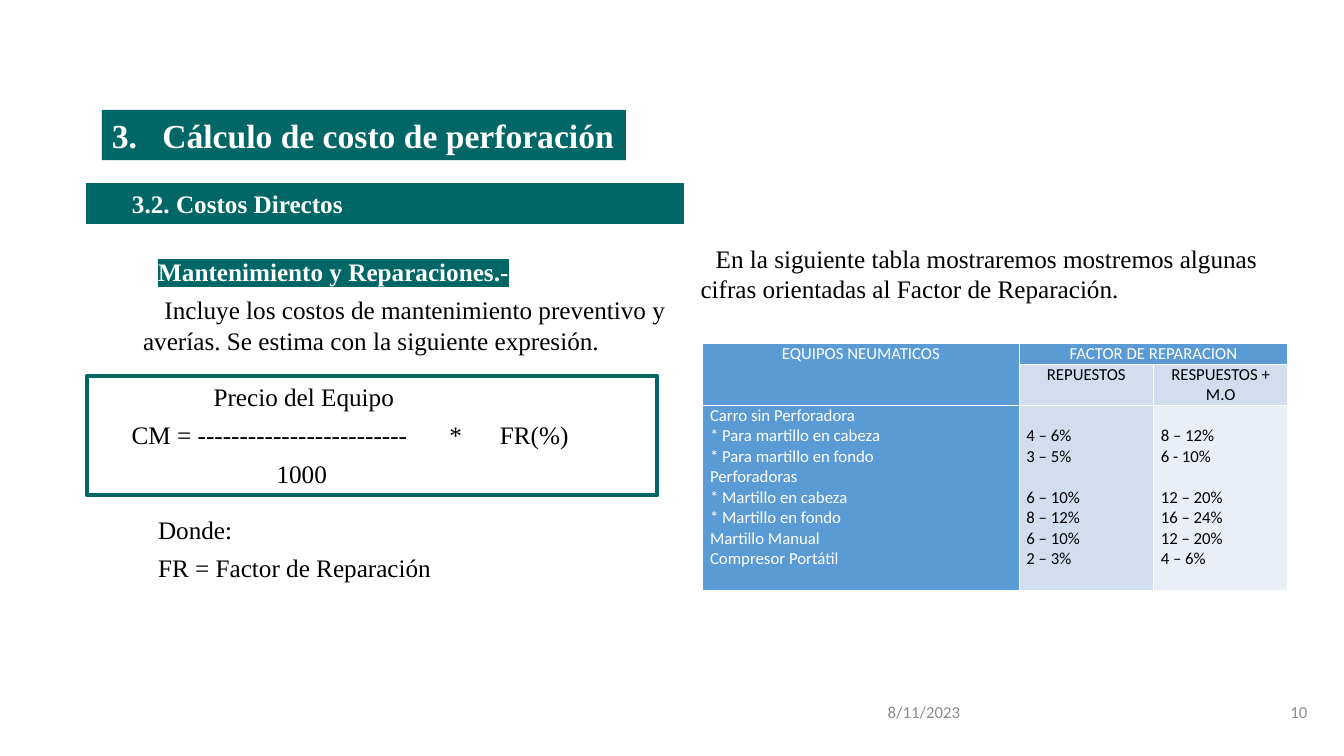
from pptx import Presentation
from pptx.dml.color import RGBColor
from pptx.enum.shapes import MSO_SHAPE
from pptx.enum.text import MSO_ANCHOR, MSO_AUTO_SIZE, PP_ALIGN
from pptx.oxml.ns import qn
from pptx.util import Pt
from lxml.etree import SubElement

TEAL = RGBColor(0x00, 0x66, 0x66)
WHITE = RGBColor(0xFF, 0xFF, 0xFF)
BLACK = RGBColor(0x00, 0x00, 0x00)
GRAY = RGBColor(0x8C, 0x8C, 0x8C)
BLUE = RGBColor(0x5B, 0x9B, 0xD5)
BLUE_MID = RGBColor(0xD2, 0xDE, 0xEF)
BLUE_PALE = RGBColor(0xEA, 0xEF, 0xF7)
SERIF, SANS = "Times New Roman", "Calibri"
LINE = 14.65  # height of one 12 pt table line


def format_runs(p, size, color, font=SERIF, bold=False):
    for r in p.runs:
        r.font.size = Pt(size)
        r.font.bold = bold
        r.font.color.rgb = color
        r.font.name = font


def set_layout(p, margin=0, first=0, after=0, tabs=()):
    """Plain paragraph with indents, spacing and left tab stops."""
    p.alignment = PP_ALIGN.LEFT
    p.space_before, p.space_after = Pt(0), Pt(after)
    pPr = p._p.get_or_add_pPr()
    pPr.set("marL", str(Pt(margin)))
    pPr.set("indent", str(Pt(first)))
    SubElement(pPr, qn("a:buNone"))
    if tabs:
        tab_list = SubElement(pPr, qn("a:tabLst"))
        for stop in tabs:
            SubElement(tab_list, qn("a:tab"), pos=str(Pt(stop)), algn="l")


def highlight(r, color):
    mark = SubElement(r._r.rPr, qn("a:highlight"))
    SubElement(mark, qn("a:srgbClr"), val=str(color))
    r._r.rPr.find(qn("a:solidFill")).addnext(mark)


def place(sp, box):
    sp.left, sp.top, sp.width, sp.height = (Pt(v) for v in box)


def set_text(sp, lines, size=18, color=BLACK, bold=False, after=6):
    """Each line is (text, margin, first-line indent, tab stops)."""
    tf = sp.text_frame
    tf.word_wrap = True
    tf.auto_size = MSO_AUTO_SIZE.NONE
    tf.vertical_anchor = MSO_ANCHOR.TOP
    tf.text = "\n".join(line[0] for line in lines)
    for p, (_, margin, first, *tabs) in zip(tf.paragraphs, lines):
        set_layout(p, margin, first, after, tabs)
        format_runs(p, size, color, bold=bold)
    return tf


def add_box(s, box, line_width, fill=None):
    sp = s.shapes.add_shape(MSO_SHAPE.RECTANGLE, *(Pt(v) for v in box))
    sp.shadow.inherit = False
    if fill is None:
        sp.fill.background()
    else:
        sp.fill.solid()
        sp.fill.fore_color.rgb = fill
    sp.line.color.rgb = TEAL
    sp.line.width = Pt(line_width)
    return sp


def add_footer(s, text, box, align):
    sp = s.shapes.add_textbox(*(Pt(v) for v in box))
    tf = sp.text_frame
    tf.word_wrap = True
    tf.vertical_anchor = MSO_ANCHOR.MIDDLE
    tf.text = text
    tf.paragraphs[0].alignment = align
    format_runs(tf.paragraphs[0], 12, GRAY, SANS)


def style_cell(cell, fill):
    tcPr = cell._tc.get_or_add_tcPr()
    for side in ("a:lnL", "a:lnR", "a:lnT", "a:lnB"):
        ln = SubElement(tcPr, qn(side), w=str(Pt(1)))
        SubElement(SubElement(ln, qn("a:solidFill")), qn("a:srgbClr"), val=str(WHITE))
    cell.fill.solid()
    cell.fill.fore_color.rgb = fill
    cell.margin_left = cell.margin_right = Pt(5.2)
    cell.margin_top = cell.margin_bottom = Pt(0)


def fill_cell(cell, lines, color, align=PP_ALIGN.LEFT):
    cell.text_frame.text = "\n".join(lines)
    for p in cell.text_frame.paragraphs:
        p.alignment = align
        format_runs(p, 12, color, SANS)


def add_repair_table(s):
    headers = [
        (0, 0, "EQUIPOS NEUMATICOS", WHITE),
        (0, 1, "FACTOR DE REPARACION", WHITE),
        (1, 1, "REPUESTOS", BLACK),
        (1, 2, "RESPUESTOS + M.O", BLACK),
    ]
    equipment = ["Carro sin Perforadora", "* Para martillo en cabeza",
                 "* Para martillo en fondo", "Perforadoras",
                 "* Martillo en cabeza", "* Martillo en fondo",
                 "Martillo Manual", "Compresor Portátil"]
    factors = [
        ["4 – 6%", "3 – 5%", "6 – 10%", "8 – 12%", "6 – 10%", "2 – 3%"],
        ["8 – 12%", "6 - 10%", "12 – 20%", "16 – 24%", "12 – 20%", "4 – 6%"],
    ]
    fills = [[BLUE, BLUE, BLUE],
             [BLUE, BLUE_MID, BLUE_MID],
             [BLUE, BLUE_MID, BLUE_PALE]]
    table = s.shapes.add_table(3, 3, Pt(502), Pt(245.5), Pt(418), Pt(175.5)).table
    for col, width in zip(table.columns, (226, 96, 96)):
        col.width = Pt(width)
    for row, height in zip(table.rows, (14, 29, 132.5)):
        row.height = Pt(height)
    for i, row_fills in enumerate(fills):
        for j, fill in enumerate(row_fills):
            style_cell(table.cell(i, j), fill)
    table.cell(0, 0).merge(table.cell(1, 0))
    table.cell(0, 1).merge(table.cell(0, 2))

    for i, j, text, color in headers:
        fill_cell(table.cell(i, j), [text], color, PP_ALIGN.CENTER)
    fill_cell(table.cell(2, 0), equipment, WHITE)
    # Values skip the two group heading lines
    for j, values in enumerate(factors, 1):
        cell = table.cell(2, j)
        fill_cell(cell, values, BLACK)
        cell.margin_top = Pt(LINE)
        cell.text_frame.paragraphs[2].space_before = Pt(LINE)


def main():
    prs = Presentation()
    prs.slide_width, prs.slide_height = Pt(960), Pt(540)
    s = prs.slides.add_slide(prs.slide_layouts[3])
    title, maintenance, table_intro = s.placeholders

    # Headings
    place(title, (72.7, 78.5, 374.4, 36))
    title.fill.solid()
    title.fill.fore_color.rgb = TEAL
    set_text(title, [("3.\tCálculo de costo de perforación", 0, 0, 24)],
             24, WHITE, True, after=0)
    sp = add_box(s, (62, 131, 426, 29), 0.75, TEAL)
    set_text(sp, [("3.2. Costos Directos", 14.4, 10.8)], color=WHITE, bold=True)

    # Maintenance description
    place(maintenance, (80.6, 179.3, 407.5, 78.5))
    tf = set_text(maintenance, [
        ("Mantenimiento y Reparaciones.-", 14.4, 10.8),
        ("Incluye los costos de mantenimiento preventivo y averías. "
         "Se estima con la siguiente expresión.", 14.4, 15.3),
    ])
    format_runs(tf.paragraphs[0], 18, WHITE, bold=True)
    highlight(tf.paragraphs[0].runs[0], TEAL)

    # Formula and its legend
    sp = add_box(s, (62, 268.6, 407.5, 85), 3)
    set_text(sp, [
        ("Precio del Equipo", 0, 83.5),
        ("CM = -------------------------\t*\tFR(%)", 0, 25, 235, 266.5),
        ("1000", 0, 128.5),
    ])
    sp = s.shapes.add_textbox(Pt(80.6), Pt(363.6), Pt(480), Pt(57))
    set_text(sp, [("Donde:", 14.4, 10.8),
                  ("FR = Factor de Reparación", 14.4, 10.8)])

    # Repair factors
    place(table_intro, (493.2, 170, 456.5, 51))
    set_text(table_intro, [
        ("En la siguiente tabla mostraremos mostremos algunas cifras "
         "orientadas al Factor de Reparación.", 0, 10.8)])
    add_repair_table(s)

    # Date and slide number
    add_footer(s, "8/11/2023", (627, 494, 258, 28.8), PP_ALIGN.LEFT)
    add_footer(s, "10", (890.6, 494, 50.4, 28.8), PP_ALIGN.RIGHT)

    prs.save("out.pptx")


if __name__ == "__main__":
    main()
